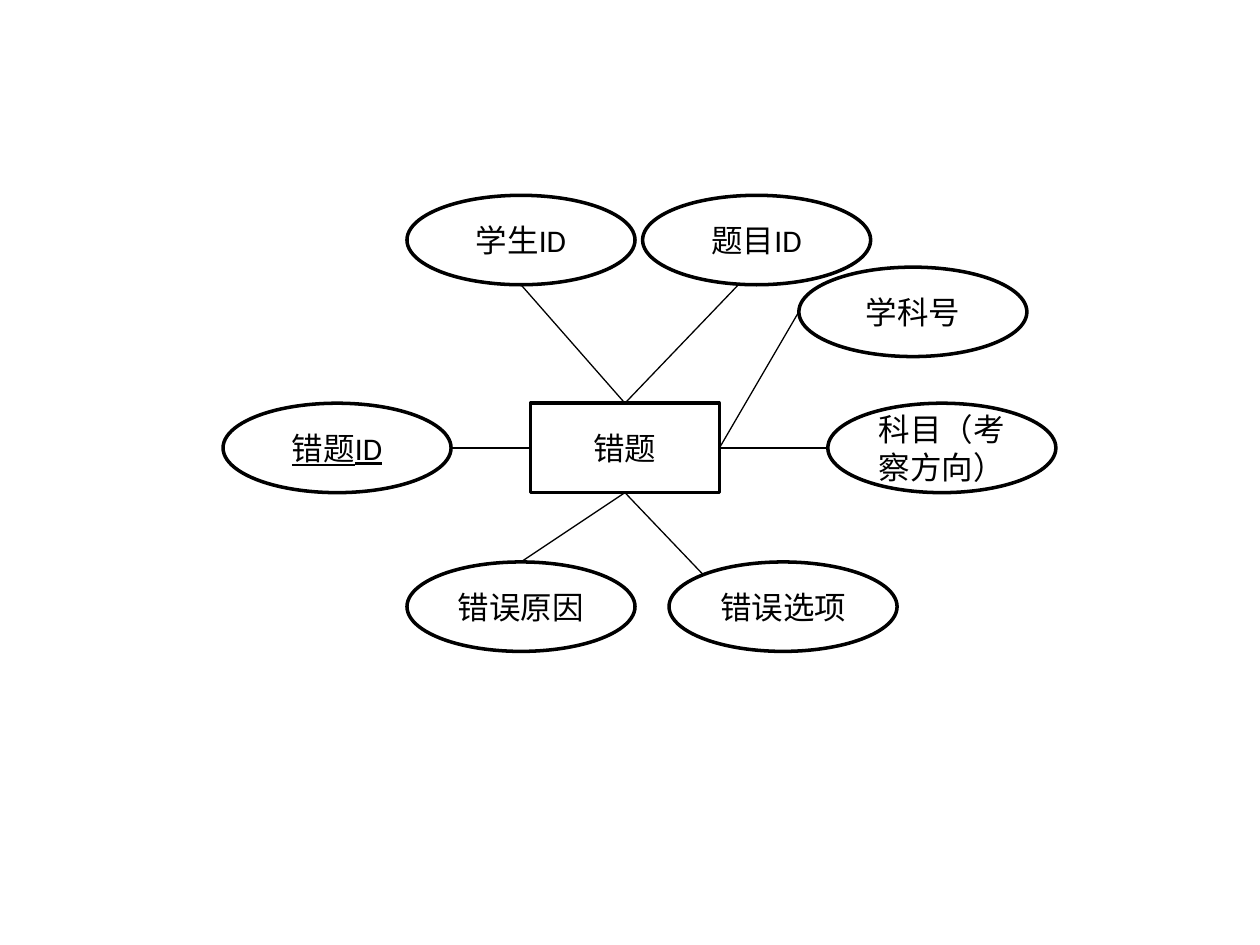
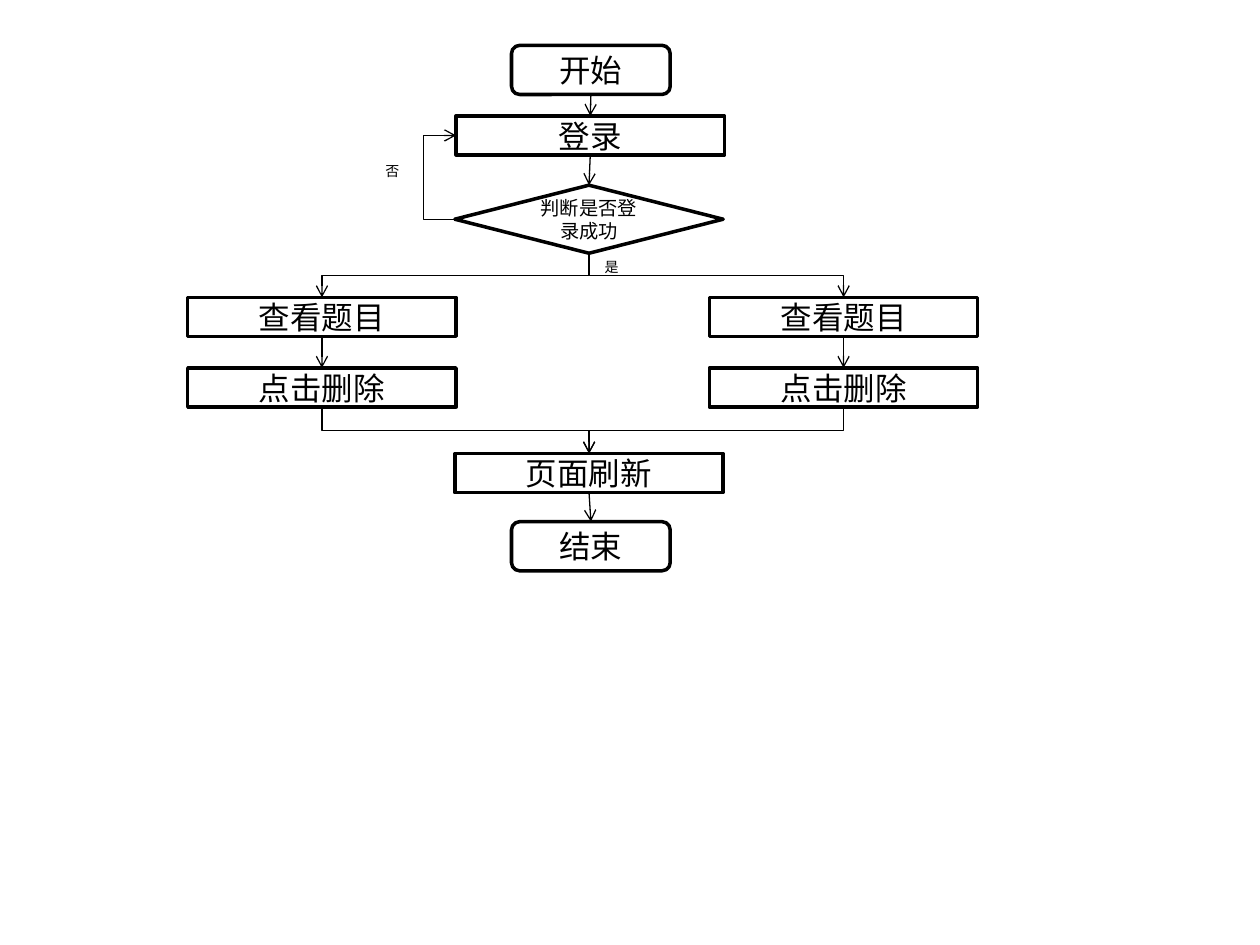
from lxml import etree
from pptx import Presentation
from pptx.dml.color import RGBColor
from pptx.enum.shapes import MSO_CONNECTOR, MSO_SHAPE
from pptx.enum.text import MSO_ANCHOR, MSO_AUTO_SIZE, PP_ALIGN
from pptx.oxml.ns import qn
from pptx.util import Inches, Pt

BLACK = RGBColor(0, 0, 0)
FONT = "Calibri"
RECTANGLE, ROUNDED = MSO_SHAPE.RECTANGLE, MSO_SHAPE.ROUNDED_RECTANGLE
OVAL, DECISION = MSO_SHAPE.OVAL, MSO_SHAPE.FLOWCHART_DECISION
STRAIGHT, ELBOW = MSO_CONNECTOR.STRAIGHT, MSO_CONNECTOR.ELBOW
CENTER, MIDDLE = PP_ALIGN.CENTER, MSO_ANCHOR.MIDDLE
FIT_SHAPE = MSO_AUTO_SIZE.SHAPE_TO_FIT_TEXT
TOP, LEFT, BOTTOM, RIGHT = range(4)

OVAL_WIDTH, NODE_HEIGHT = 1.81, 0.71
ENTITY_WIDTH = 1.5
STEP_WIDTH, STEP_HEIGHT = 2.13, 0.31
END_WIDTH, END_HEIGHT = 1.26, 0.39
DECISION_HEIGHT = 0.54
LOOP_REACH = 0.25


def write(shape, text, size, underline=None):
    """Put one formatted line of text in a shape and return its paragraph."""
    shape.text_frame.text = text
    para = shape.text_frame.paragraphs[0]
    font = para.runs[0].font
    font.name, font.size, font.underline = FONT, Pt(size), underline
    font.color.rgb = BLACK
    return para


def add_node(page, kind, left, top, width, height, text, size=18, underline=None):
    """Add an unfilled, outlined shape with centred text."""
    node = page.shapes.add_shape(
        kind, Inches(left), Inches(top), Inches(width), Inches(height))
    node.shadow.inherit = False
    node.fill.background()
    node.line.color.rgb = BLACK
    node.line.width = Pt(2)
    node.text_frame.vertical_anchor = MIDDLE
    write(node, text, size, underline).alignment = CENTER
    return node


def add_label(page, left, top, text):
    """Add a small branch label."""
    label = page.shapes.add_textbox(
        Inches(left), Inches(top), Inches(0.31), Inches(0.24))
    label.text_frame.word_wrap = False
    label.text_frame.auto_size = FIT_SHAPE
    write(label, text, 8)


def add_line(page, kind=STRAIGHT, x=0, y=0):
    """Add a thin black connector that starts at a point."""
    line = page.shapes.add_connector(kind, Inches(x), Inches(y), Inches(x), Inches(y))
    line.line.color.rgb = BLACK
    line.line.width = Pt(0.75)
    etree.SubElement(line.element.spPr, qn("a:effectLst"))
    return line


def add_arrow(page, source, target, kind=STRAIGHT, sides=(BOTTOM, TOP)):
    """Join two nodes with an arrow between the given sides."""
    arrow = add_line(page, kind)
    arrow.begin_connect(source, sides[0])
    arrow.end_connect(target, sides[1])
    etree.SubElement(arrow.line._get_or_add_ln(), qn("a:tailEnd"), type="arrow")
    return arrow


def add_drop_arrow(page, source, target):
    """Join two nodes with an elbow that leaves and arrives vertically."""
    arrow = add_arrow(page, source, target, ELBOW)
    across = arrow.end_x - arrow.begin_x
    down = arrow.end_y - arrow.begin_y
    middle_x = (arrow.begin_x + arrow.end_x) // 2
    middle_y = (arrow.begin_y + arrow.end_y) // 2
    arrow.width, arrow.height = down, abs(across)
    arrow.left, arrow.top = middle_x - down // 2, middle_y - abs(across) // 2
    frame = arrow.element.spPr.find(qn("a:xfrm"))
    frame.set("rot", str((270 if across > 0 else 90) * 60000))
    frame.set("flipH", "1" if across > 0 else "0")


def add_loop_arrow(page, source, target):
    """Join the left sides of two nodes with an elbow reaching outwards."""
    arrow = add_arrow(page, source, target, ELBOW, (LEFT, LEFT))
    bend = round(-Inches(LOOP_REACH) / arrow.width * 100000)
    guides = arrow.element.spPr.find(qn("a:prstGeom")).find(qn("a:avLst"))
    etree.SubElement(guides, qn("a:gd"), name="adj1", fmla=f"val {bend}")


def build_entity_diagram(page, left, top):
    """Draw an entity with its attributes around it."""
    entity = add_node(page, RECTANGLE, left + 2.44, top + 1.65,
                      ENTITY_WIDTH, NODE_HEIGHT, "错题")
    half_width, half_height = OVAL_WIDTH / 2, NODE_HEIGHT / 2
    attributes = [
        ("错题ID", 0, 1.65, OVAL_WIDTH, half_height, LEFT),
        ("学科号", 4.57, 0.57, 0, half_height, RIGHT),
        ("学生ID", 1.46, 0, half_width, NODE_HEIGHT, TOP),
        ("科目（考察方向）", 4.8, 1.65, 0, half_height, RIGHT),
        ("错误原因", 1.46, 2.91, half_width, 0, BOTTOM),
        ("错误选项", 3.54, 2.91, 0.27, 0.1, BOTTOM),
        ("题目ID", 3.33, 0, 0.77, 0.7, TOP),
    ]
    for text, x, y, tip_x, tip_y, side in attributes:
        is_key = text == "错题ID"
        add_node(page, OVAL, left + x, top + y, OVAL_WIDTH, NODE_HEIGHT,
                 text, underline=is_key or None)
        link = add_line(page, x=left + x + tip_x, y=top + y + tip_y)
        link.end_connect(entity, side)


def build_flowchart(page, left, top):
    """Draw the login and deletion flow with its two branches."""
    def add_step(x, y, text):
        return add_node(page, RECTANGLE, left + x, top + y,
                        STEP_WIDTH, STEP_HEIGHT, text)

    def add_terminal(y, text):
        return add_node(page, ROUNDED, left + 2.57, top + y,
                        END_WIDTH, END_HEIGHT, text)

    start = add_terminal(0, "开始")
    login = add_step(2.13, 0.56, "登录")
    decision = add_node(page, DECISION, left + 2.12, top + 1.11,
                        STEP_WIDTH, DECISION_HEIGHT, "判断是否登录成功", 11)
    refresh = add_step(2.12, 3.24, "页面刷新")
    finish = add_terminal(3.78, "结束")
    for source, target in ((start, login), (login, decision), (refresh, finish)):
        add_arrow(page, source, target)
    add_loop_arrow(page, decision, login)
    add_label(page, left + 3.21, top + 1.64, "是")
    add_label(page, left + 1.47, top + 0.88, "否")

    for branch_x in (0, 4.14):
        view = add_step(branch_x, 2, "查看题目")
        delete = add_step(branch_x, 2.56, "点击删除")
        add_arrow(page, view, delete)
        add_drop_arrow(page, decision, view)
        add_drop_arrow(page, delete, refresh)


def main():
    """Build both slides and save the deck."""
    deck = Presentation()
    deck.slide_width, deck.slide_height = Inches(10), Inches(7.5)
    blank = deck.slide_layouts[6]
    build_entity_diagram(deck.slides.add_slide(blank), 1.77, 1.55)
    build_flowchart(deck.slides.add_slide(blank), 1.49, 0.36)
    deck.save("out.pptx")


if __name__ == "__main__":
    main()
